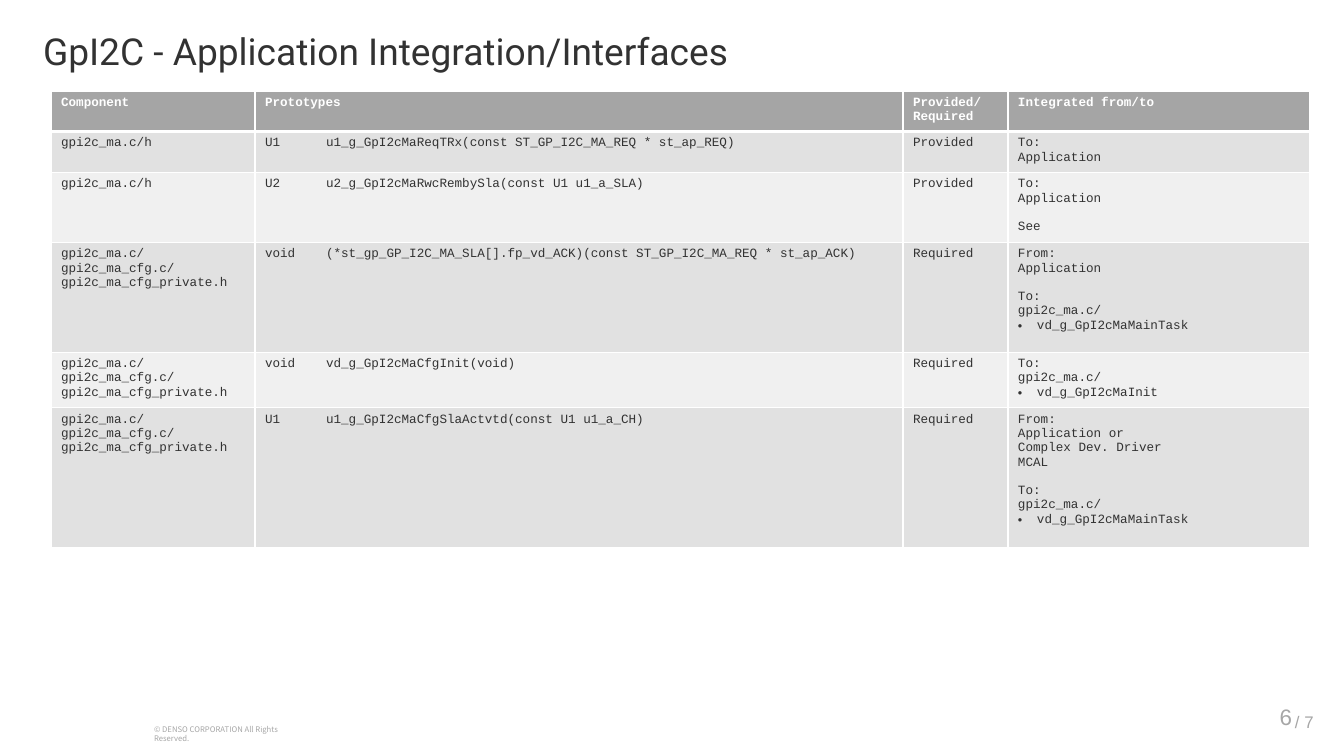
"""Build the GpI2C application integration and interfaces slide."""
from lxml import etree
from pptx import Presentation
from pptx import util as u
from pptx.dml.color import RGBColor
from pptx.enum import text
from pptx.oxml.ns import qn

PX = 914400 / 100.8
COLORS = {
    "ink": "323232",
    "muted": "A6A6A6",
    "white": "FFFFFF",
    "header": "A5A5A5",
    "dark_row": "E1E1E1",
    "light_row": "F0F0F0",
}
LINE_GAP = 10.2
BULLET = "• "
COLUMN_WIDTHS = [204, 648, 105, 302]
ROW_HEIGHTS = [40, 41, 67, 110, 53, 140]
MAIN_FILES = ["gpi2c_ma.c/h"]
CONFIG_FILES = ["gpi2c_ma.c/", "gpi2c_ma_cfg.c/", "gpi2c_ma_cfg_private.h"]
TO_MAIN_TASK = ["To:", "gpi2c_ma.c/", "• vd_g_GpI2cMaMainTask"]
ROWS = [
    [["Component"], ["Prototypes"], ["Provided/", "Required"], ["Integrated from/to"]],
    [MAIN_FILES, ["U1\tu1_g_GpI2cMaReqTRx(const ST_GP_I2C_MA_REQ * st_ap_REQ)"],
     ["Provided"], ["To:", "Application"]],
    [MAIN_FILES, ["U2\tu2_g_GpI2cMaRwcRembySla(const U1 u1_a_SLA)"],
     ["Provided"], ["To:", "Application", "", "See"]],
    [CONFIG_FILES,
     ["void\t(*st_gp_GP_I2C_MA_SLA[].fp_vd_ACK)(const ST_GP_I2C_MA_REQ * st_ap_ACK)"],
     ["Required"], ["From:", "Application", "", *TO_MAIN_TASK]],
    [CONFIG_FILES, ["void\tvd_g_GpI2cMaCfgInit(void)"],
     ["Required"], ["To:", "gpi2c_ma.c/", "• vd_g_GpI2cMaInit"]],
    [CONFIG_FILES, ["U1\tu1_g_GpI2cMaCfgSlaActvtd(const U1 u1_a_CH)"],
     ["Required"],
     ["From:", "Application or", "Complex Dev. Driver", "MCAL", "", *TO_MAIN_TASK]],
]


def px(length):
    """Turn pixels into EMU."""
    return u.Emu(round(length * PX))


def add_bullet(para):
    """Give a paragraph a hanging bullet."""
    props = para._p.get_or_add_pPr()
    props.set("marL", str(px(19)))
    props.set("indent", str(px(-19)))
    etree.SubElement(props, qn("a:buFont")).set("typeface", "Arial")
    etree.SubElement(props, qn("a:buChar")).set("char", BULLET.strip())


def add_tab(para, position):
    """Give a paragraph one left tab stop."""
    stops = etree.SubElement(para._p.get_or_add_pPr(), qn("a:tabLst"))
    stop = etree.SubElement(stops, qn("a:tab"))
    stop.set("pos", str(px(position)))
    stop.set("algn", "l")


def write(frame, lines, size, font, color, bold=False, align=text.PP_ALIGN.LEFT,
          spacing=None):
    """Write lines as paragraphs; an empty line becomes space before the next."""
    para, gap = frame.paragraphs[0], False
    for index, line in enumerate(lines):
        if not line:
            gap = True
            continue
        if index:
            para = frame.add_paragraph()
        if line.startswith(BULLET):
            add_bullet(para)
        if "\t" in line:
            add_tab(para, 61)
        if gap:
            para.space_before, gap = u.Pt(LINE_GAP), False
        para.alignment = align
        if spacing:
            para.line_spacing = spacing
        span = para.add_run()
        span.text = line.removeprefix(BULLET)
        span.font.size = u.Pt(size)
        span.font.name = font
        span.font.bold = bold
        span.font.color.rgb = RGBColor.from_string(COLORS[color])


def set_insets(frame, left, top, right, bottom):
    """Set the four inner margins of a text frame."""
    frame.margin_left, frame.margin_top = px(left), px(top)
    frame.margin_right, frame.margin_bottom = px(right), px(bottom)


def add_label(page, bounds, line, wrap=True, inset=4,
              anchor=text.MSO_ANCHOR.MIDDLE, **style):
    """Add a muted one-paragraph text box."""
    box = page.shapes.add_textbox(*map(px, bounds))
    frame = box.text_frame
    frame.word_wrap = wrap
    frame.vertical_anchor = anchor
    set_insets(frame, 10, inset, 10, inset)
    write(frame, [line], color="muted", **style)


def add_title(page, line):
    """Place and fill the title placeholder."""
    title = page.shapes.title
    title.left, title.top, title.width, title.height = map(px, (0, 28, 1191, 45))
    frame = title.text_frame
    frame.word_wrap = True
    frame.auto_size = text.MSO_AUTO_SIZE.NONE
    frame.vertical_anchor = text.MSO_ANCHOR.TOP
    set_insets(frame, 43, 5, 10, 5)
    write(frame, [line], size=26.5, font="Roboto", color="ink", spacing=0.9)


def set_borders(cell, bottom, top):
    """Draw white borders of the given widths in points around a cell."""
    for side, width in (("L", 1), ("R", 1), ("T", top), ("B", bottom)):
        line = etree.SubElement(cell._tc.get_or_add_tcPr(), qn(f"a:ln{side}"))
        line.set("w", str(u.Pt(width)))
        fill = etree.SubElement(line, qn("a:solidFill"))
        etree.SubElement(fill, qn("a:srgbClr")).set("val", COLORS["white"])


def add_interface_table(page):
    """Add the table of interface prototypes."""
    bounds = (51, 91, sum(COLUMN_WIDTHS), sum(ROW_HEIGHTS))
    table = page.shapes.add_table(len(ROWS), len(COLUMN_WIDTHS), *map(px, bounds)).table
    table.horz_banding = False
    for column, width in zip(table.columns, COLUMN_WIDTHS):
        column.width = px(width)
    for index, (row, height, contents) in enumerate(zip(table.rows, ROW_HEIGHTS, ROWS)):
        row.height = px(height)
        header = index == 0
        band = "header" if header else "dark_row" if index % 2 else "light_row"
        for cell, lines in zip(row.cells, contents):
            set_borders(cell, bottom=3 if header else 1, top=3 if index == 1 else 1)
            cell.fill.solid()
            cell.fill.fore_color.rgb = RGBColor.from_string(COLORS[band])
            write(cell.text_frame, lines, size=9, font="Courier New",
                  color="white" if header else "ink", bold=header)


def main():
    """Build and save the slide."""
    deck = Presentation()
    deck.slide_width, deck.slide_height = px(1344), px(756)
    page = deck.slides.add_slide(deck.slide_layouts[5])
    add_label(page, (144, 720, 179, 19), "© DENSO CORPORATION All Rights Reserved.",
              inset=5, anchor=text.MSO_ANCHOR.TOP, size=5.5, font="Noto Sans CJK JP")
    add_label(page, (1230, 699, 72, 35), "6", size=16, font="Arial",
              align=text.PP_ALIGN.RIGHT)
    add_label(page, (1285, 708, 39, 28), "/ 7", wrap=False, size=12, font="Arial")
    add_title(page, "GpI2C - Application Integration/Interfaces")
    add_interface_table(page)
    deck.save("out.pptx")


if __name__ == "__main__":
    main()
